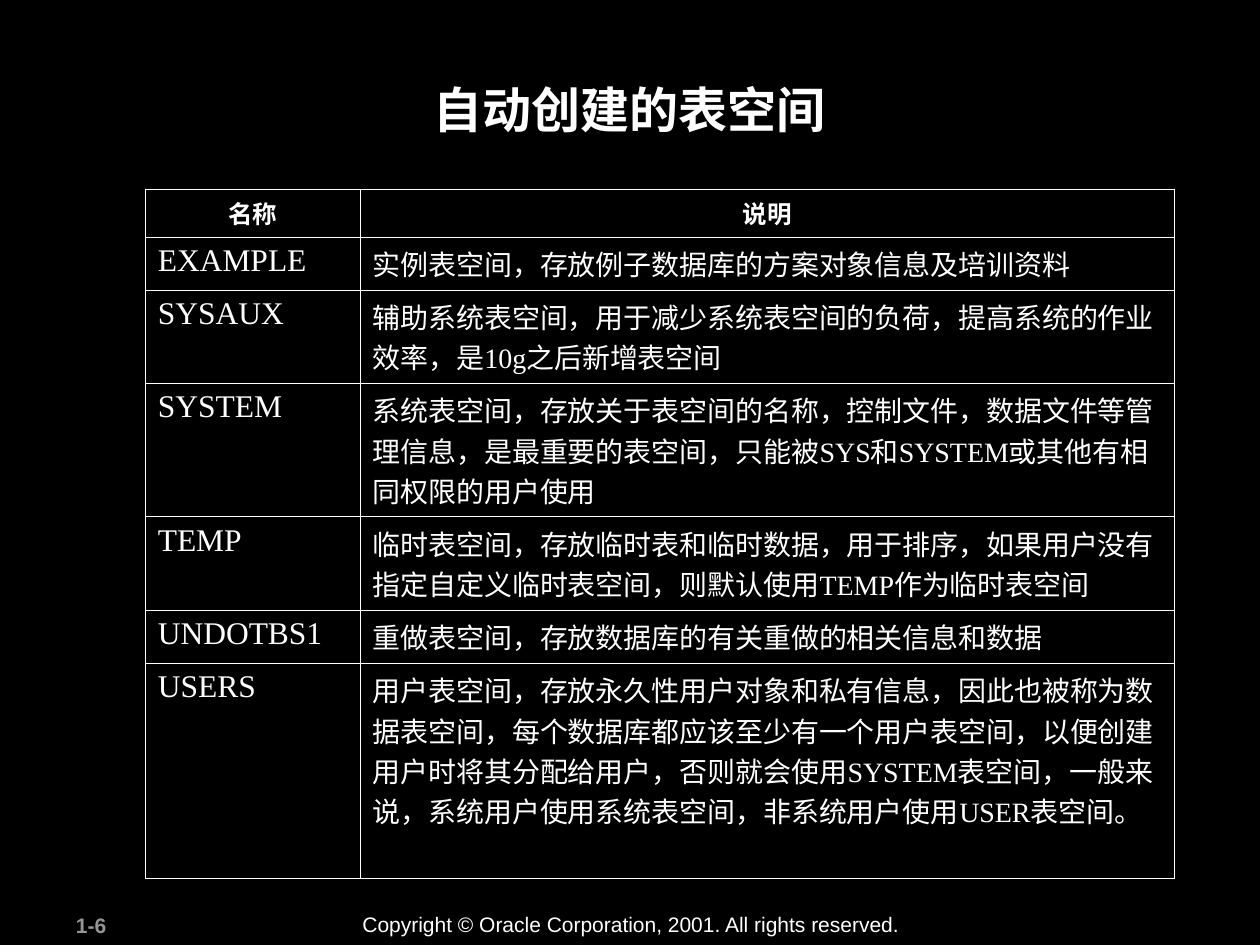
from lxml import etree
from pptx import Presentation
from pptx.dml.color import RGBColor
from pptx.enum import text
from pptx.oxml import ns
from pptx.util import Pt

BLACK = RGBColor(0x00, 0x00, 0x00)
WHITE = RGBColor(0xFF, 0xFF, 0xFF)
GRAY = RGBColor(0x96, 0x96, 0x96)
SANS, SERIF = "Arial", "Times New Roman"

HEADERS = ("名称", "说明")
TABLESPACES = [
    ("EXAMPLE", "实例表空间，存放例子数据库的方案对象信息及培训资料"),
    ("SYSAUX", "辅助系统表空间，用于减少系统表空间的负荷，提高系统的作业效率，是10g之后新增表空间"),
    ("SYSTEM", "系统表空间，存放关于表空间的名称，控制文件，数据文件等管理信息，"
               "是最重要的表空间，只能被SYS和SYSTEM或其他有相同权限的用户使用"),
    ("TEMP", "临时表空间，存放临时表和临时数据，用于排序，如果用户没有指定自定义临时表空间，"
             "则默认使用TEMP作为临时表空间"),
    ("UNDOTBS1", "重做表空间，存放数据库的有关重做的相关信息和数据"),
    ("USERS", "用户表空间，存放永久性用户对象和私有信息，因此也被称为数据表空间，"
              "每个数据库都应该至少有一个用户表空间，以便创建用户时将其分配给用户，"
              "否则就会使用SYSTEM表空间，一般来说，系统用户使用系统表空间，"
              "非系统用户使用USER表空间。"),
]
COLUMN_WIDTHS = (122.8, 465.2)
HEADER_HEIGHT = 27.4
ROW_HEIGHTS = (HEADER_HEIGHT, 30.3, 53.3, 76.4, 53.3, 30.3, 122.8)
BORDER_WIDTH = 0.45


def write_text(text_frame, content, font_name, size, color=WHITE, bold=False, centered=False):
    text_frame.text = content
    paragraph = text_frame.paragraphs[0]
    paragraph.alignment = text.PP_ALIGN.CENTER if centered else text.PP_ALIGN.LEFT
    # Keep closing punctuation inside the margin
    paragraph._p.get_or_add_pPr().set("hangingPunct", "0")
    font = paragraph.runs[0].font
    font.name, font.size, font.bold = font_name, Pt(size), bold
    font.color.rgb = color


def add_label(slide, left, top, width, height, content, size, **style):
    box = slide.shapes.add_textbox(Pt(left), Pt(top), Pt(width), Pt(height))
    box.text_frame.word_wrap = True
    write_text(box.text_frame, content, SANS, size, **style)


def set_borders(cell):
    properties = cell._tc.get_or_add_tcPr()
    for index, side in enumerate(("a:lnL", "a:lnR", "a:lnT", "a:lnB")):
        line = etree.Element(ns.qn(side), w=str(Pt(BORDER_WIDTH)))
        fill = etree.SubElement(line, ns.qn("a:solidFill"))
        etree.SubElement(fill, ns.qn("a:srgbClr"), val=str(WHITE))
        properties.insert(index, line)  # borders come before the fill


def add_tablespace_table(slide):
    rows = [HEADERS] + TABLESPACES
    frame = slide.shapes.add_table(len(rows), len(HEADERS), Pt(83), Pt(108),
                                   Pt(sum(COLUMN_WIDTHS)), Pt(sum(ROW_HEIGHTS)))
    table = frame.table
    table.first_row = table.horz_banding = False
    for column, width in zip(table.columns, COLUMN_WIDTHS):
        column.width = Pt(width)
    for row, height in zip(table.rows, ROW_HEIGHTS):
        row.height = Pt(height)
    for row_index, row in enumerate(rows):
        is_header = row_index == 0
        sizes = (14, 14) if is_header else (18, 16)
        for column_index, (content, size) in enumerate(zip(row, sizes)):
            cell = table.cell(row_index, column_index)
            cell.fill.background()
            set_borders(cell)
            write_text(cell.text_frame, content, SERIF, size,
                       bold=is_header, centered=is_header)


def main():
    presentation = Presentation()
    presentation.slide_width, presentation.slide_height = Pt(720), Pt(540)
    slide = presentation.slides.add_slide(presentation.slide_layouts[6])
    slide.background.fill.solid()
    slide.background.fill.fore_color.rgb = BLACK

    # Footer
    add_label(slide, 36.3, 518, 75.5, 21.5, "1-6", 12, color=GRAY, bold=True)
    add_label(slide, 200, 517.5, 322.5, 21.5,
              "Copyright © Oracle Corporation, 2001. All rights reserved.", 12)

    # Title and table
    add_label(slide, 68, 42, 583.5, 69, "自动创建的表空间", 28, bold=True, centered=True)
    add_tablespace_table(slide)

    presentation.save("out.pptx")


if __name__ == "__main__":
    main()
